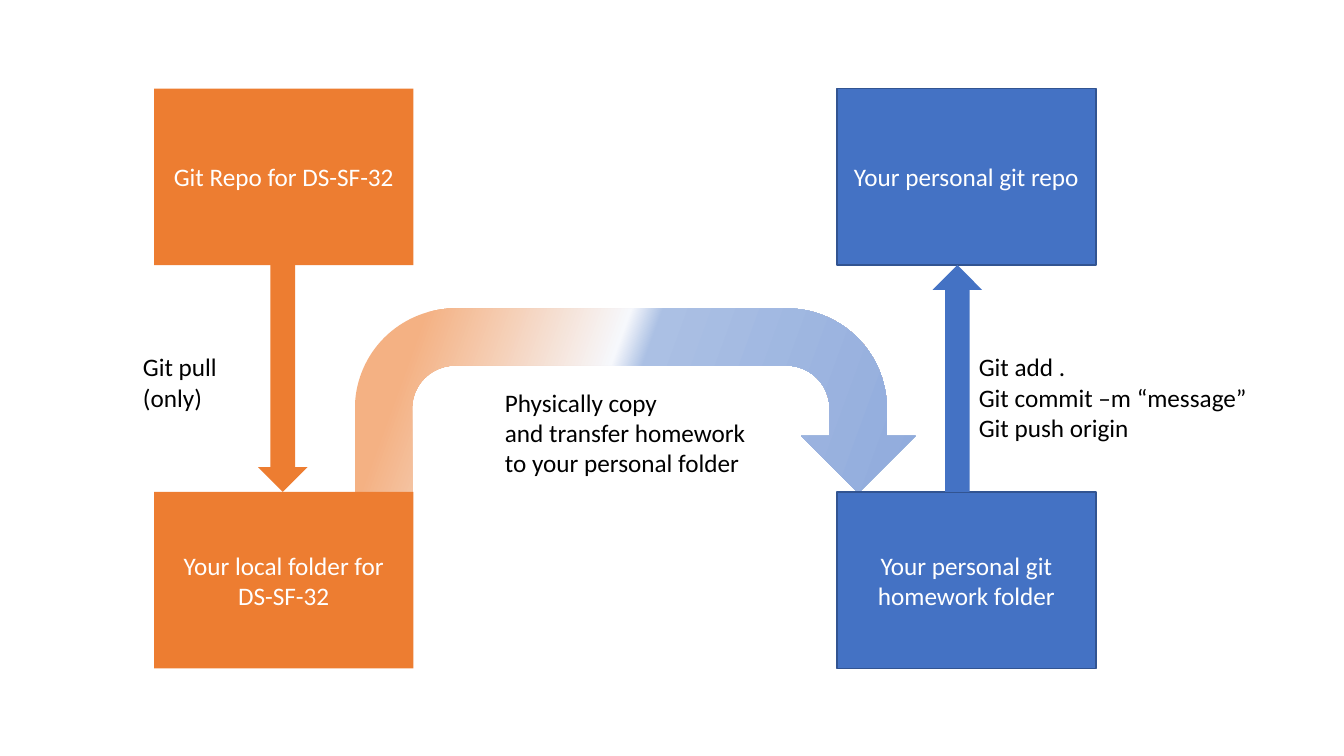
from lxml import etree
from pptx import Presentation
from pptx.dml.color import RGBColor
from pptx.enum import shapes, text
from pptx.oxml.ns import qn
from pptx.util import Inches, Pt

ORANGE = RGBColor(0xED, 0x7D, 0x31)
BLUE = RGBColor(0x44, 0x72, 0xC4)
BLUE_EDGE = RGBColor(0x32, 0x54, 0x91)
WHITE = RGBColor(0xFF, 0xFF, 0xFF)
BLACK = RGBColor(0, 0, 0)
BLEND = [(11, RGBColor(0xF4, 0xB1, 0x83)), (43, RGBColor(0xF6, 0xF8, 0xFC)),
         (48, RGBColor(0xAB, 0xC0, 0xE4)), (100, RGBColor(0x8F, 0xAA, 0xDC))]
BLEND_ANGLE = 20

# Content: one column per repository, remote above local
COLUMNS = [
    # left, fill, edge, box texts, arrow left, arrow rotation
    (1.53, ORANGE, None,
     ["Git Repo for DS-SF-32", "Your local folder for DS-SF-32"], 2.56, 0),
    (8.3, BLUE, BLUE_EDGE,
     ["Your personal git repo", "Your personal git homework folder"], 9.25, 180),
]
LABELS = [
    ((1.32, 3.44, 1, 0.71), ["Git pull", "(only)"]),
    ((9.61, 3.44, 2.89, 1.01),
     ["Git add .", "Git commit –m “message”", "Git push origin"]),
    ((4.91, 3.79, 2.64, 1.01),
     ["Physically copy", "and transfer homework", "to your personal folder"]),
]
TRANSFER = (3.52, 3.06, 5.56, 2.27)
TRANSFER_BENDS = [0.25, 0.25, 0.25, 0.438, 0.807]

# Grid
BOX_WIDTH, BOX_HEIGHT = 2.57, 1.75
TOP, ROW_STEP = 0.88, 4
ARROW_WIDTH = 0.49
ARROW_TOP, ARROW_HEIGHT = TOP + BOX_HEIGHT, ROW_STEP - BOX_HEIGHT

deck = Presentation()
deck.slide_width, deck.slide_height = Inches(13.33), Inches(7.5)
page = deck.slides.add_slide(deck.slide_layouts[6])


def add_block(kind, place, fill=None, edge=None):
    block = page.shapes.add_shape(kind, *map(Inches, place))
    block.shadow.inherit = False
    if fill is not None:
        block.fill.solid()
        block.fill.fore_color.rgb = fill
    if edge is None:
        block.line.fill.background()
    else:
        block.line.color.rgb = edge
        block.line.width = Pt(1)
    return block


def write(frame, lines, color, align):
    for number, line in enumerate(lines):
        para = frame.add_paragraph() if number else frame.paragraphs[0]
        para.text = line
        para.alignment = align
        para.font.name = "Calibri"
        para.font.size = Pt(18)
        para.font.color.rgb = color


def blend(block, stops, angle):
    block.fill.gradient()
    gradient = block.element.spPr.find(qn("a:gradFill"))
    stop_list = gradient.find(qn("a:gsLst"))
    for stop in list(stop_list):
        stop_list.remove(stop)
    for percent, color in stops:
        stop = etree.SubElement(stop_list, qn("a:gs"), pos=str(percent * 1000))
        etree.SubElement(stop, qn("a:srgbClr"), val=str(color))
    direction = gradient.find(qn("a:lin"))
    direction.set("ang", str(angle * 60000))
    direction.set("scaled", "0")


# Curved transfer arrow, behind the boxes
transfer = add_block(shapes.MSO_SHAPE.U_TURN_ARROW, TRANSFER)
for index, bend in enumerate(TRANSFER_BENDS):
    transfer.adjustments[index] = bend
blend(transfer, BLEND, BLEND_ANGLE)

# Boxes and the vertical arrow between them
for left, fill, edge, captions, arrow_left, turn in COLUMNS:
    for row, caption in enumerate(captions):
        place = (left, TOP + row * ROW_STEP, BOX_WIDTH, BOX_HEIGHT)
        box = add_block(shapes.MSO_SHAPE.RECTANGLE, place, fill, edge)
        box.text_frame.vertical_anchor = text.MSO_ANCHOR.MIDDLE
        write(box.text_frame, [caption], WHITE, text.PP_ALIGN.CENTER)
    arrow = add_block(shapes.MSO_SHAPE.DOWN_ARROW,
                      (arrow_left, ARROW_TOP, ARROW_WIDTH, ARROW_HEIGHT), fill)
    arrow.rotation = turn

# Command labels
for place, lines in LABELS:
    frame = page.shapes.add_textbox(*map(Inches, place)).text_frame
    frame.word_wrap = False
    frame.auto_size = text.MSO_AUTO_SIZE.SHAPE_TO_FIT_TEXT
    write(frame, lines, BLACK, text.PP_ALIGN.LEFT)

deck.save("out.pptx")
